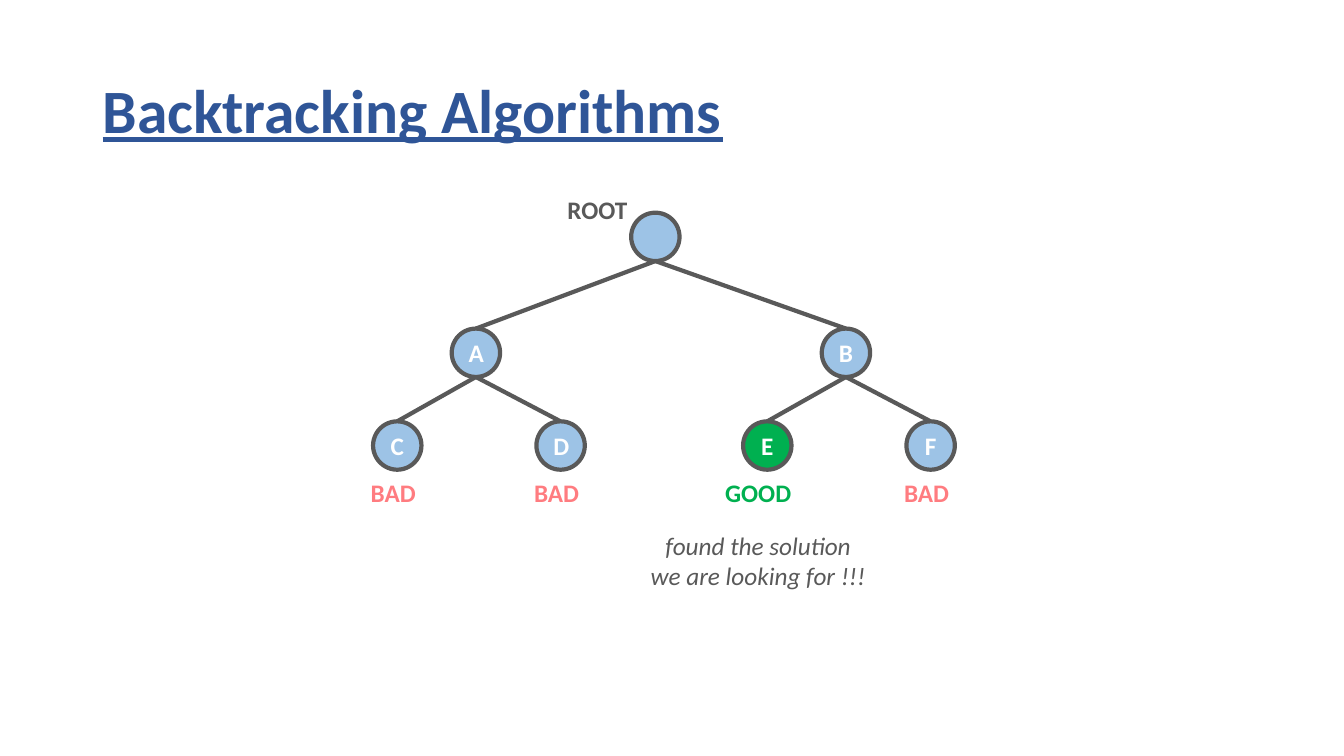
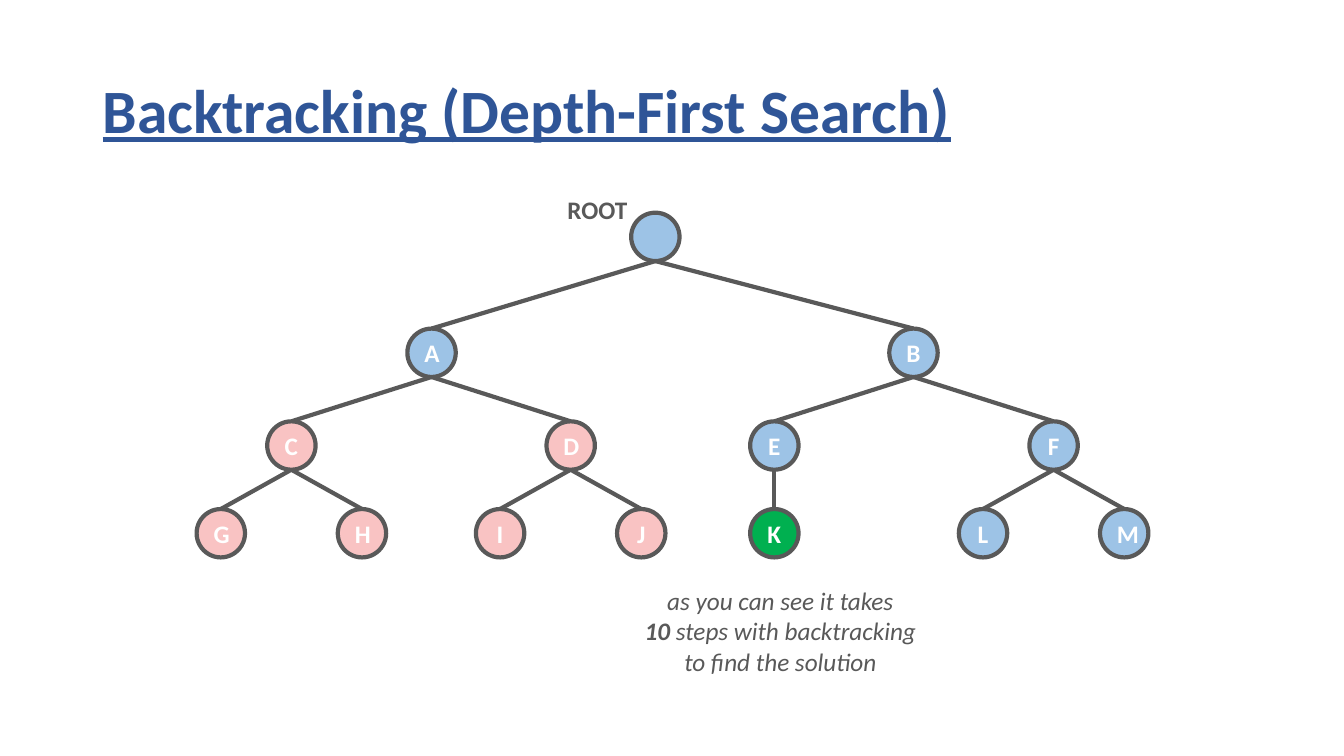
from dataclasses import dataclass

from lxml import etree
from pptx import Presentation
from pptx import util as u
from pptx.dml.color import RGBColor
from pptx.enum import shapes, text
from pptx.oxml.ns import qn

# Shared look
FONT = "Calibri"
WHITE = RGBColor(0xFF, 0xFF, 0xFF)
NAVY = RGBColor(0x2F, 0x55, 0x97)
GREY = RGBColor(0x59, 0x59, 0x59)
BLUE = RGBColor(0x9D, 0xC3, 0xE6)
PINK = RGBColor(0xF9, 0xC3, 0xC3)
RED = RGBColor(0xFF, 0x7C, 0x80)
GREEN = RGBColor(0x00, 0xB0, 0x50)

BODY_SIZE = 18
OUTLINE = u.Pt(3)
BLANK_LAYOUT = 6

# Tree measures, in inches
NODE = 0.48
LEVEL_TOPS = (0, 1.15, 2.07, 2.94)
LABEL_HEIGHT = 0.4

# Verdict under a leaf: colour and shift from the middle of the node
VERDICTS = {"BAD": (RED, -0.04), "GOOD": (GREEN, -0.09)}


@dataclass
class Box:
    left: float
    top: float
    width: float
    height: float

    def inches(self):
        return [u.Inches(n) for n in (self.left, self.top, self.width, self.height)]


@dataclass
class Node:
    name: str
    offset: float = 0  # from the parent, as a share of the tree's width
    children: tuple = ()
    fill: RGBColor = BLUE
    verdict: str = ""


TITLE_BOX = Box(0.92, 0.4, 11.5, 1.45)
TREE_BOX = Box(1.5, 2.11, 10, 3.42)


def style(paragraph, colour, size=BODY_SIZE, bold=None, italic=None, underline=None):
    font = paragraph.font
    font.name, font.size, font.color.rgb = FONT, u.Pt(size), colour
    font.bold, font.italic, font.underline = bold, italic, underline


def add_text(slide, box, lines, colour, align=text.PP_ALIGN.CENTER, wrap=False, **look):
    """Each line is a list of (words, bold) runs."""
    frame = slide.shapes.add_textbox(*box.inches()).text_frame
    frame.word_wrap = wrap
    for index, line in enumerate(lines):
        paragraph = frame.add_paragraph() if index else frame.paragraphs[0]
        paragraph.alignment = align
        style(paragraph, colour, **look)
        for words, bold in line:
            run = paragraph.add_run()
            run.text = words
            if bold:
                run.font.bold = True
    return frame


def add_title(slide, box, words):
    frame = add_text(slide, box, [[(words, False)]], NAVY, text.PP_ALIGN.LEFT,
                     wrap=True, size=44, bold=True, underline=True)
    frame.vertical_anchor = text.MSO_ANCHOR.MIDDLE
    frame.paragraphs[0].line_spacing = 0.9


def add_edge(slide, start, end):
    points = [u.Inches(n) for n in (*start, *end)]
    edge = slide.shapes.add_connector(shapes.MSO_CONNECTOR.STRAIGHT, *points)
    edge.line.color.rgb, edge.line.width = GREY, OUTLINE
    etree.SubElement(edge._element.spPr, qn("a:effectLst"))


def add_circle(slide, box, node):
    circle = slide.shapes.add_shape(shapes.MSO_SHAPE.OVAL, *box.inches())
    circle.shadow.inherit = False
    circle.fill.solid()
    circle.fill.fore_color.rgb = node.fill
    circle.line.color.rgb, circle.line.width = GREY, OUTLINE
    if node.name:
        paragraph = circle.text_frame.paragraphs[0]
        paragraph.text = node.name
        paragraph.alignment = text.PP_ALIGN.CENTER
        style(paragraph, WHITE, bold=True)


def add_branch(slide, box, node, middle, level=0):
    """Draw a node centred on middle, then everything below it."""
    top = box.top + LEVEL_TOPS[level]
    bottom = top + NODE
    for child in node.children:
        child_middle = middle + child.offset * box.width
        child_top = box.top + LEVEL_TOPS[level + 1]
        add_edge(slide, (middle, bottom), (child_middle, child_top))
        add_branch(slide, box, child, child_middle, level + 1)
    add_circle(slide, Box(middle - NODE / 2, top, NODE, NODE), node)
    if node.verdict:
        colour, shift = VERDICTS[node.verdict]
        width = 0.86
        label = Box(middle + shift - width / 2, bottom + 0.03, width, LABEL_HEIGHT)
        add_text(slide, label, [[(node.verdict, False)]], colour, bold=True)


def add_tree(slide, box, root):
    middle = box.left + box.width / 2
    label = Box(middle - 0.97, box.top - 0.23, 0.8, LABEL_HEIGHT)
    add_text(slide, label, [[("ROOT", False)]], GREY, text.PP_ALIGN.LEFT, bold=True)
    add_branch(slide, box, root, middle)


def add_tree_slide(presentation, title, root, caption_box, caption):
    slide = presentation.slides.add_slide(presentation.slide_layouts[BLANK_LAYOUT])
    add_title(slide, TITLE_BOX, title)
    add_tree(slide, TREE_BOX, root)
    add_text(slide, caption_box, caption, GREY, italic=True)


def leaves(names, fill=BLUE):
    return tuple(Node(name, offset, fill=fill) for name, offset in zip(names, (-0.07, 0.07)))


# Two levels, each leaf judged
SMALL_TREE = Node("", children=(
    Node("A", -0.178, (
        Node("C", -0.078, verdict="BAD"),
        Node("D", 0.084, verdict="BAD"))),
    Node("B", 0.189, (
        Node("E", -0.078, fill=GREEN, verdict="GOOD"),
        Node("F", 0.084, verdict="BAD"))),
))

# Three levels, visited dead ends in pink
DEEP_TREE = Node("", children=(
    Node("A", -0.222, (
        Node("C", -0.139, leaves("GH", PINK), PINK),
        Node("D", 0.138, leaves("IJ", PINK), PINK))),
    Node("B", 0.256, (
        Node("E", -0.138, (Node("K", fill=GREEN),)),
        Node("F", 0.139, leaves("LM")))),
))


def main():
    presentation = Presentation()
    presentation.slide_width = u.Inches(13.33)
    presentation.slide_height = u.Inches(7.5)

    add_tree_slide(
        presentation, "Backtracking Algorithms", SMALL_TREE,
        Box(6.34, 5.21, 2.36, 0.71),
        [[("found the solution", False)],
         [("we are looking for !!!", False)]])
    add_tree_slide(
        presentation, "Backtracking (Depth-First Search)", DEEP_TREE,
        Box(6.28, 5.76, 2.92, 1.01),
        [[("as you can see it takes", False)],
         [("10 ", True), ("steps with backtracking", False)],
         [("to find the solution", False)]])

    presentation.save("out.pptx")


if __name__ == "__main__":
    main()
